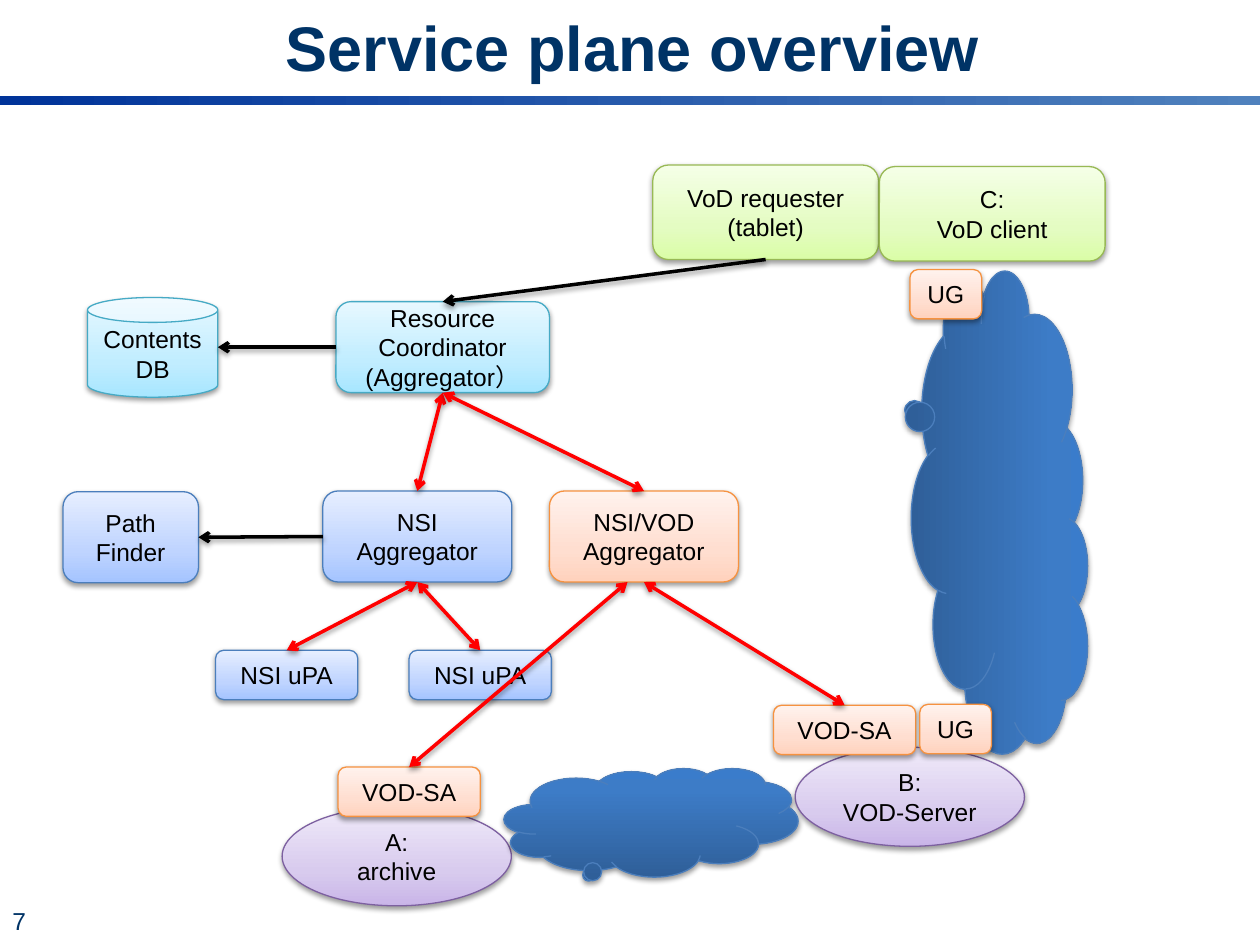
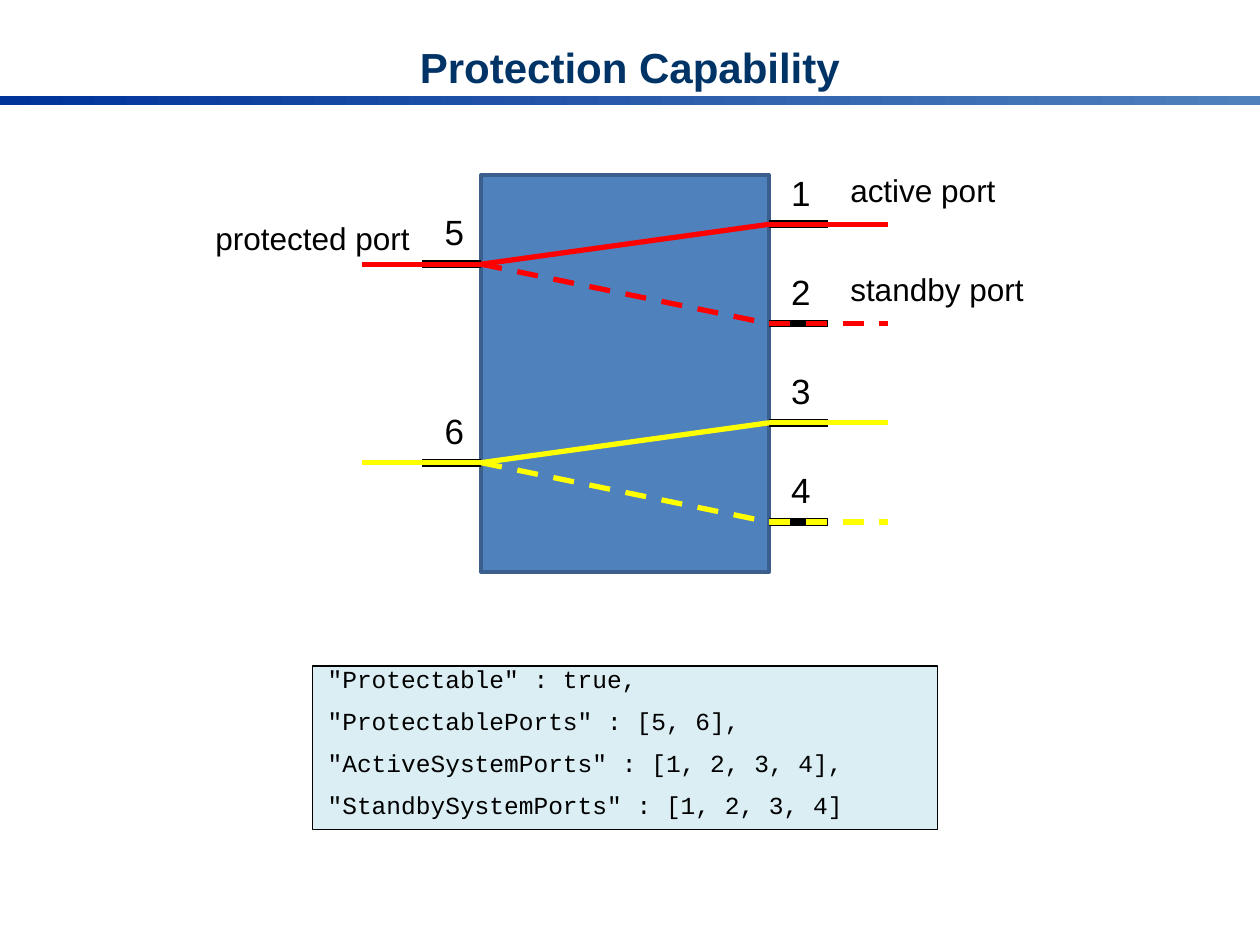
import dataclasses

import lxml.etree
import pptx
import pptx.dml.color
import pptx.enum.dml
import pptx.enum.shapes
import pptx.enum.text
import pptx.oxml
import pptx.oxml.ns
import pptx.util

Pt = pptx.util.Pt
Kind = pptx.enum.shapes.MSO_SHAPE
Align = pptx.enum.text.PP_ALIGN
Anchor = pptx.enum.text.MSO_ANCHOR
qn = pptx.oxml.ns.qn

TOP, LEFT, BOTTOM, RIGHT = range(4)  # connection sites of a box


@dataclasses.dataclass(frozen=True)
class Theme:
    font: str = "Arial"
    code_font: str = "Courier New"
    navy: str = "003366"
    black: str = "000000"
    red: str = "FF0000"
    yellow: str = "FFFF00"
    node: str = "4F81BD"
    node_edge: str = "3A5F8C"
    code_fill: str = "DBEEF4"
    title_shadow: str = "DDDDDD"
    band: tuple = ((0, "003399"), (100, "4F81BD"))
    # Each tint: edge colour, gradient stops from bottom to top
    green: tuple = ("98B955", ((0, "DAFDA7"), (35, "E4FCC2"), (100, "F5FFE7")))
    cyan: tuple = ("46AAC5", ((0, "A7E6FF"), (35, "C1EDFF"), (100, "E7F8FF")))
    blue: tuple = ("4B7EBC", ((0, "A4C4FF"), (35, "BFD4FF"), (100, "E6EEFF")))
    orange: tuple = ("F69240", ((0, "FFD2BD"), (35, "FFDED0"), (100, "FFF2ED")))
    purple: tuple = ("7D60A0", ((0, "C9B5E8"), (35, "D8CBEE"), (100, "F0EAF9")))
    cloud: tuple = ("4B7EBC", ((0, "2F5F99"), (80, "3D7CC7"), (100, "3A7CCB")))
    body: int = 14
    label: int = 18
    port: int = 20


def rgb(color):
    return pptx.dml.color.RGBColor.from_string(color)


def shadow_effect(color, opacity, blur, distance, angle):
    effects = pptx.oxml.parse_xml(
        '<a:effectLst xmlns:a="http://schemas.openxmlformats.org/drawingml/2006/main">'
        f'<a:outerShdw blurRad="{Pt(blur)}" dist="{Pt(distance)}" dir="{angle * 60000}"'
        f' rotWithShape="0"><a:srgbClr val="{color}"><a:alpha val="{opacity * 1000}"/>'
        '</a:srgbClr></a:outerShdw></a:effectLst>')
    return effects


class Painter:
    def __init__(self, deck, theme):
        self.deck, self.theme, self.page = deck, theme, None

    def new_page(self, title, size, place):
        """Start a slide with the shared band and title."""
        self.page = self.deck.slides.add_slide(self.deck.slide_layouts[6])
        band = self.shape(Kind.RECTANGLE, (0, 54.7, 720, 5.6))
        self.gradient(band, self.theme.band, 0)
        band.line.fill.background()
        box = self.text(title, place, size, color=self.theme.navy,
                        align=Align.CENTER, anchor=Anchor.MIDDLE)
        span = box.text_frame.paragraphs[0].runs[0]
        span.font.bold = True
        fill = span.font._element.find(qn("a:solidFill"))
        fill.addnext(shadow_effect(self.theme.title_shadow, 100, 0, 2.8, 45))

    def shape(self, kind, place):
        shape = self.page.shapes.add_shape(kind, *map(Pt, place))
        shape.shadow.inherit = False
        return shape

    def solid(self, shape, fill, edge, width):
        shape.fill.solid()
        shape.fill.fore_color.rgb = rgb(fill)
        shape.line.color.rgb = rgb(edge)
        shape.line.width = Pt(width)

    def gradient(self, shape, stops, angle):
        shape.fill.gradient()
        shape.fill.gradient_angle = angle
        stop_list = shape._element.spPr.find(qn("a:gradFill")).find(qn("a:gsLst"))
        for old_stop in list(stop_list):
            stop_list.remove(old_stop)
        for position, color in stops:
            stop = lxml.etree.SubElement(stop_list, qn("a:gs"), pos=str(position * 1000))
            lxml.etree.SubElement(stop, qn("a:srgbClr"), val=color)

    def soft_shadow(self, shape):
        properties = shape._element.spPr
        for effects in properties.findall(qn("a:effectLst")):
            properties.remove(effects)
        properties.append(shadow_effect(self.theme.black, 38, 3.1, 1.6, 90))

    def format_text(self, frame, size, color=None, align=Align.LEFT, font=None):
        for para in frame.paragraphs:
            para.alignment = align
            for span in para.runs:
                span.font.name = font or self.theme.font
                span.font.size = Pt(size)
                span.font.color.rgb = rgb(color or self.theme.black)

    def text(self, words, place, size, wrap=True, anchor=Anchor.TOP, **style):
        box = self.page.shapes.add_textbox(*map(Pt, place))
        box.text_frame.word_wrap = wrap
        box.text_frame.vertical_anchor = anchor
        box.text_frame.text = words
        self.format_text(box.text_frame, size, **style)
        return box

    def box(self, words, tint, place, kind=Kind.ROUNDED_RECTANGLE):
        """Draw a tinted, shadowed shape with centred words."""
        edge, stops = tint
        box = self.shape(kind, place)
        self.gradient(box, stops, 90)
        box.line.color.rgb = rgb(edge)
        box.line.width = Pt(0.75)
        self.soft_shadow(box)
        if words:
            box.text_frame.text = words
            self.format_text(box.text_frame, self.theme.body, align=Align.CENTER)
        return box

    def cloud(self, place, rotation=0):
        cloud = self.box("", self.theme.cloud, place, Kind.CLOUD_CALLOUT)
        cloud.adjustments[0], cloud.adjustments[1] = -0.21, 0.48
        cloud.rotation = rotation

    def line(self, start, end, color, width, dashed=False):
        line = self.page.shapes.add_connector(
            pptx.enum.shapes.MSO_CONNECTOR.STRAIGHT, *map(Pt, (*start, *end)))
        line.line.color.rgb = rgb(color)
        line.line.width = Pt(width)
        if dashed:
            line.line.dash_style = pptx.enum.dml.MSO_LINE.DASH
        lxml.etree.SubElement(line._element.spPr, qn("a:effectLst"))
        return line

    def arrow(self, start, end, color, both=False):
        """Join two ends, each a (box, site) pair or an (x, y) point."""
        points = [(0, 0) if hasattr(spot[0], "shape_id") else spot for spot in (start, end)]
        arrow = self.line(*points, color, 2)
        for spot, connect in ((start, arrow.begin_connect), (end, arrow.end_connect)):
            if hasattr(spot[0], "shape_id"):
                connect(*spot)
        outline = arrow.line._get_or_add_ln()
        for tip in ("a:headEnd", "a:tailEnd") if both else ("a:tailEnd",):
            lxml.etree.SubElement(outline, qn(tip), type="arrow")
        self.soft_shadow(arrow)


def service_plane(painter):
    theme = painter.theme
    painter.new_page("Service plane overview", 36, (54, 9.5, 615, 34))
    painter.text("7", (0, 514, 31, 26), theme.body, color=theme.navy)

    # Client side, coordinator and aggregators
    requester = painter.box("VoD requester (tablet)", theme.green, (373, 94.3, 129, 54))
    painter.box("C:\vVoD client", theme.green, (502.5, 95.2, 129, 54))
    coordinator = painter.box("Resource Coordinator\n(Aggregator）", theme.cyan,
                              (192, 172.4, 122, 52))
    painter.box("Contents DB", theme.cyan, (50, 170, 74.5, 57), Kind.CAN)
    nsi = painter.box("NSI Aggregator", theme.blue, (184.5, 280.6, 108, 52))
    vod = painter.box("NSI/VOD\nAggregator", theme.orange, (314, 280.6, 108, 52))
    finder = painter.box("Path Finder", theme.blue, (36, 281, 77.4, 52))
    agents = [painter.box("NSI uPA", theme.blue, (x, 371.6, 81.3, 28.2))
              for x in (123.2, 233.8)]

    # Sites and the networks between them
    painter.box("B:\vVOD-Server", theme.purple, (454.4, 427, 131, 56.6), Kind.OVAL)
    painter.box("A:\varchive", theme.purple, (161.2, 461, 131, 56.6), Kind.OVAL)
    painter.cloud((288, 439, 168, 62))
    painter.cloud((433.5, 242.6, 275.8, 100.8), 90)

    # Agents and gateways sitting on the sites
    archive, server = [painter.box("VOD-SA", theme.orange, (x, y, 81.3, 28.2))
                       for x, y in ((193.2, 438.3), (442, 403))]
    for x, y in ((525.6, 402.5), (520, 154)):
        painter.box("UG", theme.orange, (x, y, 41, 28.2))

    # Requests and lookups
    painter.arrow((requester, BOTTOM), (coordinator, TOP), theme.black)
    painter.arrow((coordinator, LEFT), (124.5, 198.4), theme.black)
    painter.arrow((nsi, LEFT), (finder, RIGHT), theme.black)

    # Two-way control links
    links = [(coordinator, nsi), (coordinator, vod), (vod, server)]
    links += [(nsi, agent) for agent in agents]
    for upper, lower in links:
        painter.arrow((upper, BOTTOM), (lower, TOP), theme.red, both=True)
    painter.arrow((358.6, 332.6), (archive, TOP), theme.red, both=True)


def protection(painter):
    theme = painter.theme
    painter.new_page("Protection Capability", 24, (36, 21.6, 648, 33))

    # Code sample
    sample = painter.shape(Kind.RECTANGLE, (178.6, 380.6, 357.2, 93.4))
    painter.solid(sample, theme.code_fill, theme.black, 1)
    frame = sample.text_frame
    frame.vertical_anchor = Anchor.TOP
    frame.margin_left = Pt(8.6)
    frame.text = "\n".join(['"Protectable" : true,',
                            '"ProtectablePorts" : [5, 6],',
                            '"ActiveSystemPorts" : [1, 2, 3, 4],',
                            '"StandbySystemPorts" : [1, 2, 3, 4]'])
    painter.format_text(frame, theme.body, font=theme.code_font)
    for index, para in enumerate(frame.paragraphs):
        para.line_spacing = Pt(12)
        para.space_before = Pt(12 if index else 0)

    # Switch node
    left, right, stub, reach = 275, 439.4, 34, 68.2
    node = painter.shape(Kind.RECTANGLE, (left, 100, right - left, 227))
    painter.solid(node, theme.node, theme.node_edge, 2.25)

    # Ports: four on the right, two on the left
    gap = 56.7
    right_ys = [128.2 + gap * index for index in range(4)]
    left_ys = [151 + 2 * gap * index for index in range(2)]
    ports = [(right, stub, 445, y) for y in right_ys]
    ports += [(left, -stub, 247, y) for y in left_ys]
    for number, (edge, length, label_x, y) in enumerate(ports, 1):
        painter.line((edge, y), (edge + length, y), theme.black, 4.5)
        painter.text(str(number), (label_x, y - 34, 24.5, 31.5), theme.port)

    # Each left port feeds an active and a standby port
    for index, color in enumerate((theme.red, theme.yellow)):
        source = (left, left_ys[index])
        painter.line((left - reach, left_ys[index]), source, color, 3)
        for offset, dashed in enumerate((False, True)):
            y = right_ys[2 * index + offset]
            painter.line(source, (right, y), color, 3, dashed)
            painter.line((right, y), (right + reach, y), color, 3, dashed)

    # Port roles
    for words, x, y, width in (("protected port", 116, left_ys[0] - 29.3, 126.7),
                               ("active port", 478.8, right_ys[0] - 34, 98.6),
                               ("standby port", 478.8, right_ys[1] - 34, 114.5)):
        painter.text(words, (x, y, width, 29), theme.label, wrap=False)


def main():
    deck = pptx.Presentation()
    deck.slide_width, deck.slide_height = Pt(720), Pt(540)
    painter = Painter(deck, Theme())
    service_plane(painter)
    protection(painter)
    deck.save("out.pptx")


if __name__ == "__main__":
    main()
